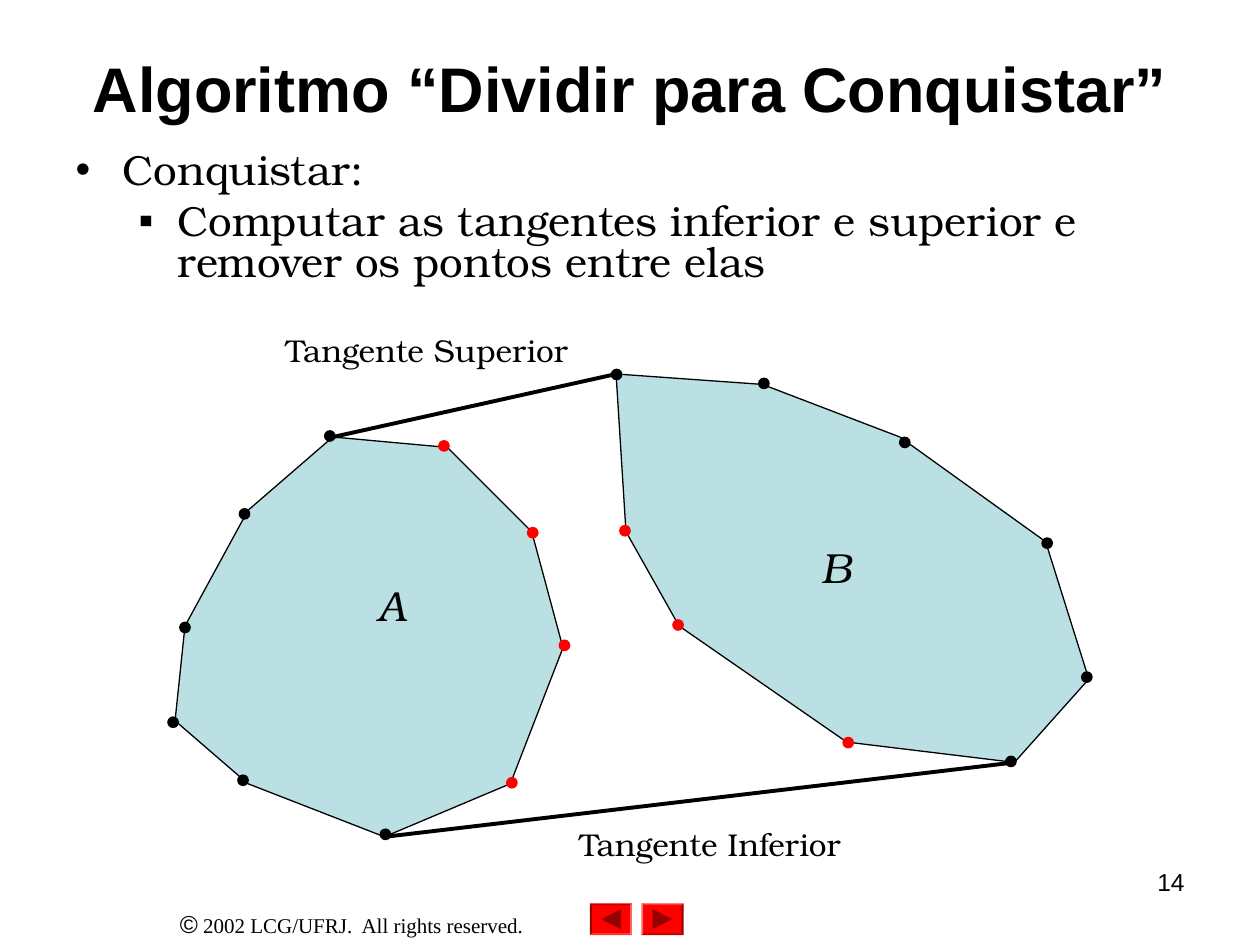
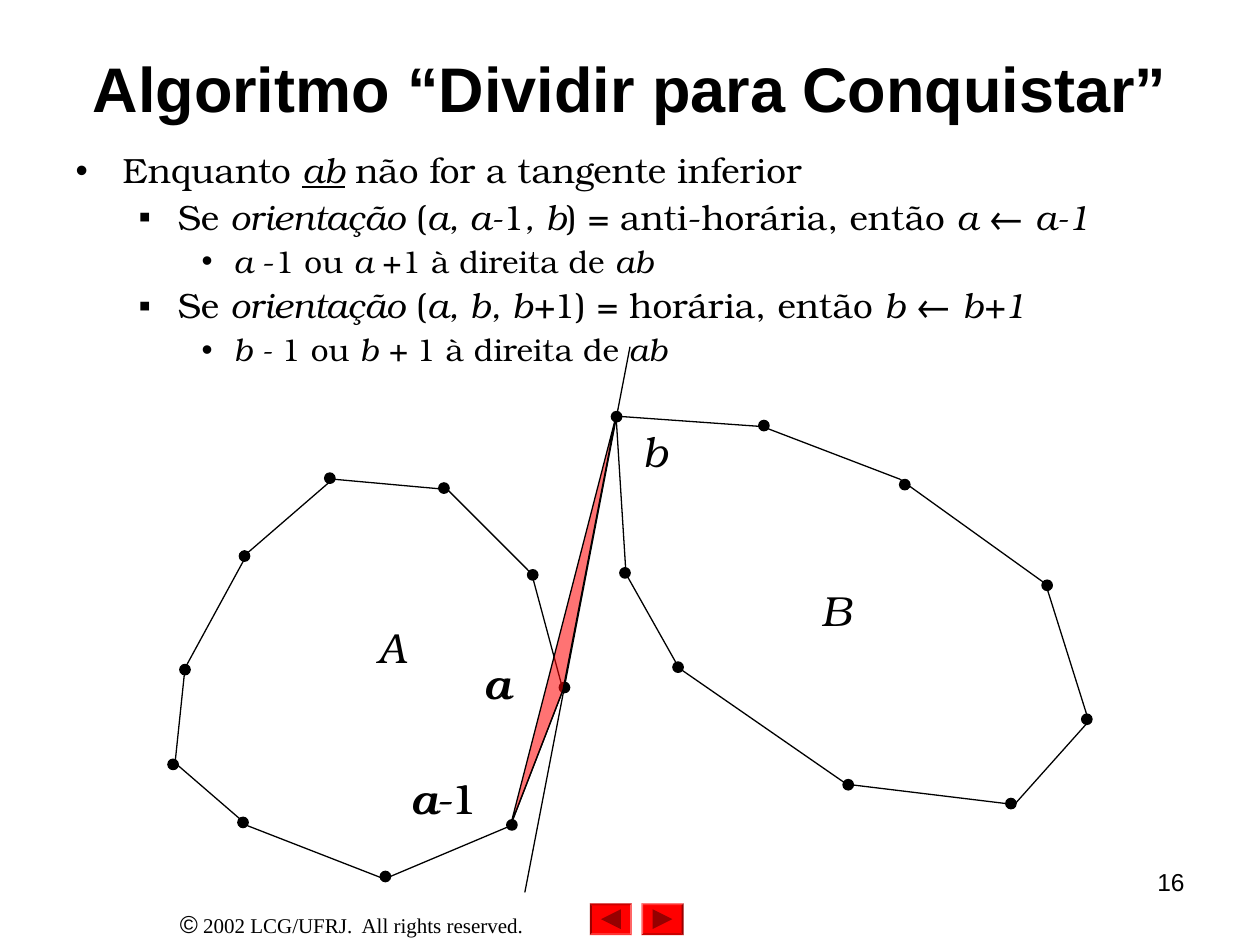
from lxml import etree
from pptx import Presentation
from pptx.dml.color import RGBColor
from pptx.enum.shapes import MSO_CONNECTOR as Link, MSO_SHAPE as Kind
from pptx.enum.text import MSO_ANCHOR as Anchor, MSO_AUTO_SIZE as Fit, PP_ALIGN as Align
from pptx.oxml.ns import qn
from pptx.util import Cm, Pt

# Shared look
BLACK, RED, DARK, TEAL = "000000", "FF0000", "960000", "BBE0E3"
SANS, SERIF, TIMES = "Arial", "TeX Gyre Bonum", "Times New Roman"
TITLE = "Algoritmo “Dividir para Conquistar”"
DOT = 0.21
# Bullet, left margin and hanging indent of each list level
LEVELS = [("•", 0.95, 0.95), ("▪", 2.06, 0.79), ("•", 3.18, 0.64)]

# Corners of the two hulls, and the dots that mark them (cm)
HULL_A = [(5, 15.8), (3.53, 14.53), (3.73, 12.62), (5, 10.29), (6.71, 8.81),
          (9.02, 9.02), (10.72, 10.72), (11.35, 13.06), (10.29, 15.8), (7.75, 16.87)]
HULL_B = [(12.42, 7.54), (12.62, 10.72), (13.69, 12.62), (17.07, 14.96), (20.45, 15.37),
          (21.95, 13.69), (21.08, 10.92), (18.14, 8.81), (15.37, 7.75)]
DOTS_A = [(4.9, 15.73), (3.49, 14.56), (3.73, 12.65), (4.93, 10.36), (6.65, 8.79),
          (8.95, 8.99), (10.74, 10.74), (11.38, 13.01), (10.32, 15.78), (7.77, 16.82)]
DOTS_B = [(12.43, 7.55), (12.6, 10.7), (13.67, 12.6), (17.1, 14.97), (20.38, 15.35),
          (21.91, 13.65), (21.11, 10.95), (18.24, 8.92), (15.4, 7.73)]
INNER_A, INNER_B = {5, 6, 7, 8}, {1, 2, 3}
DROP = 0.85  # the hulls sit lower on the second slide


def paint(form, color):
    form.solid()
    form.fore_color.rgb = RGBColor.from_string(color)


def style(shape, fill=None, line=None, width=0.75):
    shape.shadow.inherit = False
    if fill:
        paint(shape.fill, fill)
    else:
        shape.fill.background()
    if line:
        paint(shape.line.fill, line)
        shape.line.width = Pt(width)
    else:
        shape.line.fill.background()


def write(para, text, size=24, font=SERIF, bold=False):
    """Add runs; *...* marks italics and a leading _ underlines them."""
    for i, part in enumerate(text.split("*")):
        if not part:
            continue
        run = para.add_run()
        run.text = part.lstrip("_")
        face = run.font
        face.name, face.size, face.bold = font, Pt(size), bold
        face.italic = i % 2 == 1
        face.underline = part.startswith("_")
        paint(face.fill, BLACK)


def label(slide, text, x, y, w, h=1.27, wrap=False, align=Align.LEFT, **form):
    box = slide.shapes.add_textbox(Cm(x), Cm(y), Cm(w), Cm(h))
    box.text_frame.word_wrap = wrap
    para = box.text_frame.paragraphs[0]
    para.alignment = align
    write(para, text, **form)
    return para


def place(shape, x, y, w, h):
    shape.left, shape.top, shape.width, shape.height = Cm(x), Cm(y), Cm(w), Cm(h)
    shape.text_frame.auto_size = Fit.NONE


def bullet(para, level):
    mark, left, hang = LEVELS[level]
    para.level = level
    props = para._p.get_or_add_pPr()
    props.set("marL", str(Cm(left)))
    props.set("indent", str(-Cm(hang)))
    color = etree.SubElement(props, qn("a:buClr"))
    etree.SubElement(color, qn("a:srgbClr"), val=BLACK)
    etree.SubElement(props, qn("a:buFont"), typeface=SANS)
    etree.SubElement(props, qn("a:buChar"), char=mark)


def fill_list(body, items, height, spacing):
    place(body, 1.27, 2.97, 22.86, height)
    frame = body.text_frame
    frame.vertical_anchor = Anchor.TOP
    for i, (level, size, text) in enumerate(items):
        para = frame.add_paragraph() if i else frame.paragraphs[0]
        para.line_spacing = spacing
        para.space_before = Pt(size / 4)
        bullet(para, level)
        write(para, text, size=size)


def button(slide, x, turn):
    y, w, h, tip = 18.21, 0.85, 0.64, 0.4
    base = slide.shapes.add_shape(Kind.BEVEL, Cm(x), Cm(y), Cm(w), Cm(h))
    base.adjustments[0] = 0.06
    base.rotation = turn
    style(base, RED)
    arrow = slide.shapes.add_shape(Kind.ISOSCELES_TRIANGLE, Cm(x + (w - tip) / 2),
                                   Cm(y + (h - tip) / 2), Cm(tip), Cm(tip))
    arrow.rotation = turn + 90
    style(arrow, DARK)


def base(deck, number):
    """Start a slide with its footer, buttons, title and number."""
    slide = deck.slides.add_slide(deck.slide_layouts[1])
    note = label(slide, "©", 2.11, 18.21, 9.96, 0.86, wrap=True,
                 align=Align.CENTER, size=14, font=SANS)
    write(note, " 2002 LCG/UFRJ.  All rights reserved.", size=12, font=TIMES)
    button(slide, 12.93, 0)
    button(slide, 11.89, 180)
    title = slide.shapes.title
    place(title, 1.27, 0.76, 22.86, 1.98)
    title.text_frame.vertical_anchor = Anchor.MIDDLE
    head = title.text_frame.paragraphs[0]
    head.alignment = Align.CENTER
    write(head, TITLE, size=36, font=SANS, bold=True)
    label(slide, number, 18.21, 17.35, 5.92, 1.32, wrap=True,
          align=Align.RIGHT, size=14, font=SANS)
    return slide


def outline(slide, points, fill=None, drop=0):
    spots = [(Cm(x), Cm(y + drop)) for x, y in points]
    pen = slide.shapes.build_freeform(*spots[0], scale=1.0)
    pen.add_line_segments(spots[1:], close=True)
    shape = pen.convert_to_shape()
    style(shape, fill, BLACK)
    return shape


def dots(slide, points, inner=(), drop=0):
    for i, (x, y) in enumerate(points):
        dot = slide.shapes.add_shape(Kind.OVAL, Cm(x - DOT / 2), Cm(y + drop - DOT / 2),
                                     Cm(DOT), Cm(DOT))
        color = RED if i in inner else BLACK
        style(dot, color, color)


def hulls(slide, fill=None, inner_a=(), inner_b=(), drop=0):
    outline(slide, HULL_A, fill, drop)
    outline(slide, HULL_B, fill, drop)
    dots(slide, DOTS_A, inner_a, drop)
    dots(slide, DOTS_B, inner_b, drop)
    label(slide, "*A*", 7.37, 11.56 + drop, 1.09)
    label(slide, "*B*", 16.31, 10.8 + drop, 1.12)


def line(slide, start, end, width):
    link = slide.shapes.add_connector(Link.STRAIGHT, *map(Cm, start + end))
    paint(link.line.fill, BLACK)
    link.line.width = Pt(width)
    etree.SubElement(link._element.spPr, qn("a:effectLst"))


def merge(deck):
    """Both tangents, with the points between them in red."""
    slide = base(deck, "14")
    fill_list(slide.placeholders[1], [
        (0, 24, "Conquistar:"),
        (1, 24, "Computar as tangentes inferior e superior e remover os pontos entre elas"),
    ], 3.18, 0.8)
    hulls(slide, TEAL, INNER_A, INNER_B)
    line(slide, HULL_A[9], HULL_B[4], 2.25)
    line(slide, HULL_A[4], HULL_B[0], 2.25)
    label(slide, "Tangente Superior", 5.51, 6.55, 6.22, 1.02, size=18)
    label(slide, "Tangente Inferior", 11.43, 16.51, 5.82, 1.02, size=18)


def search(deck):
    """One step of the search for the lower tangent."""
    slide = base(deck, "16")
    fill_list(slide.placeholders[1], [
        (0, 20, "Enquanto *_ab** *não for a tangente inferior"),
        (1, 20, "Se *orientação* (*a, a-*1*, b*) = anti-horária, então *a *← *a-1*"),
        (2, 18, "*a *-1 ou *a *+1 à direita de *ab*"),
        (1, 20, "Se *orientação* (*a, b, b+*1) = horária, então *b *← *b+1*"),
        (2, 18, "*b - *1 ou* b + *1 à direita de* ab*"),
    ], 5.28, 0.9)
    hulls(slide, drop=DROP)
    # Triangle a, b, a-1
    wedge = outline(slide, [HULL_A[7], HULL_B[0], HULL_A[8]], RED, DROP)
    tint = wedge._element.spPr.find(qn("a:solidFill"))[0]
    etree.SubElement(tint, qn("a:alpha"), val="55000")
    # Labels laid twice, a hair apart, look heavier
    for shift in (0, 0.03):
        label(slide, "*a-*1", 8.03 + shift, 15.44, 1.83)
        label(slide, "*a*", 9.5 + shift, 13.13, 1.02)
    label(slide, "*b*", 12.7, 8.46, 1.02)
    line(slide, (10.58, 17.99), (12.7, 6.99), 0.75)


def main():
    deck = Presentation()
    deck.slide_width, deck.slide_height = Cm(25.4), Cm(19.05)
    merge(deck)
    search(deck)
    deck.save("out.pptx")


if __name__ == "__main__":
    main()
